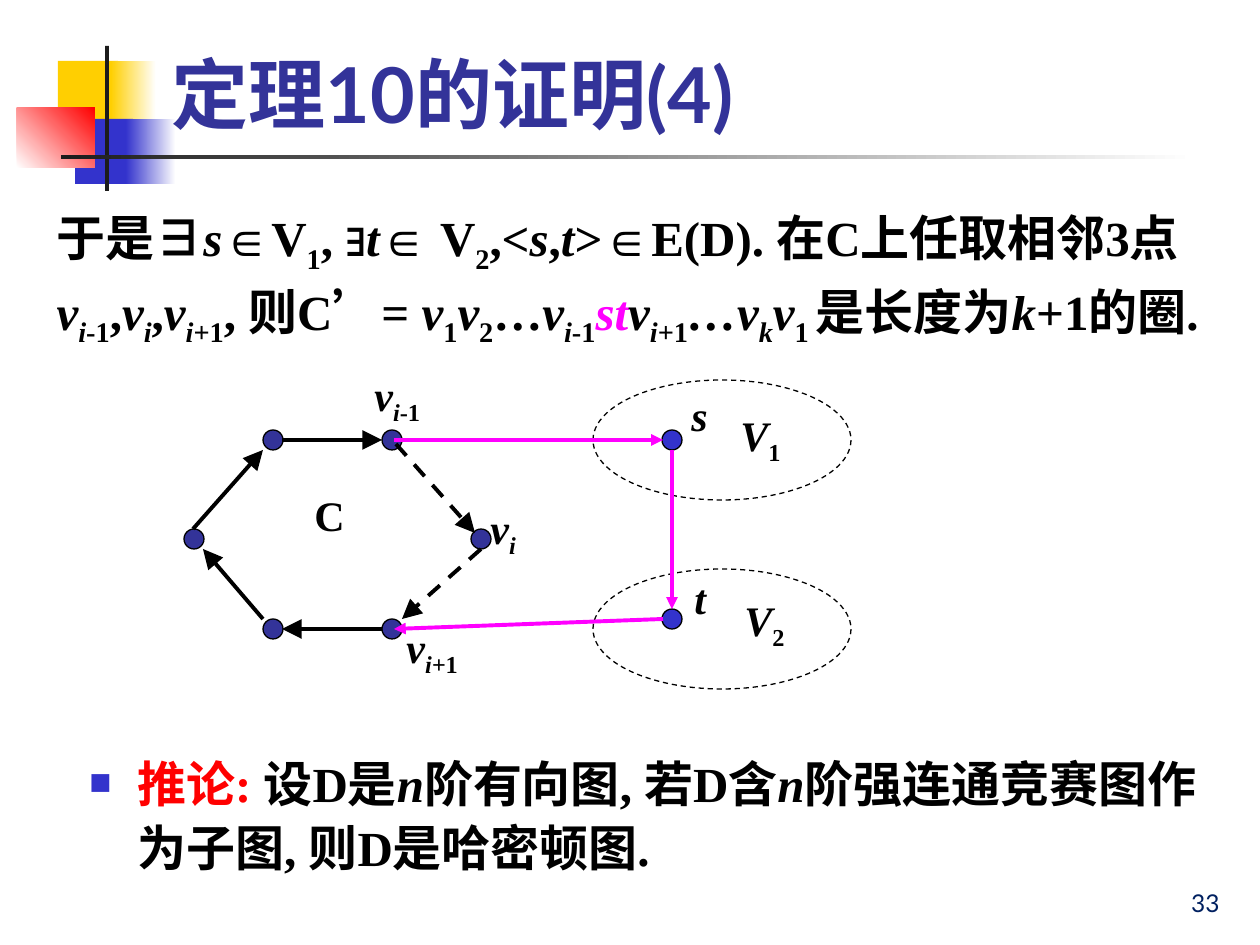
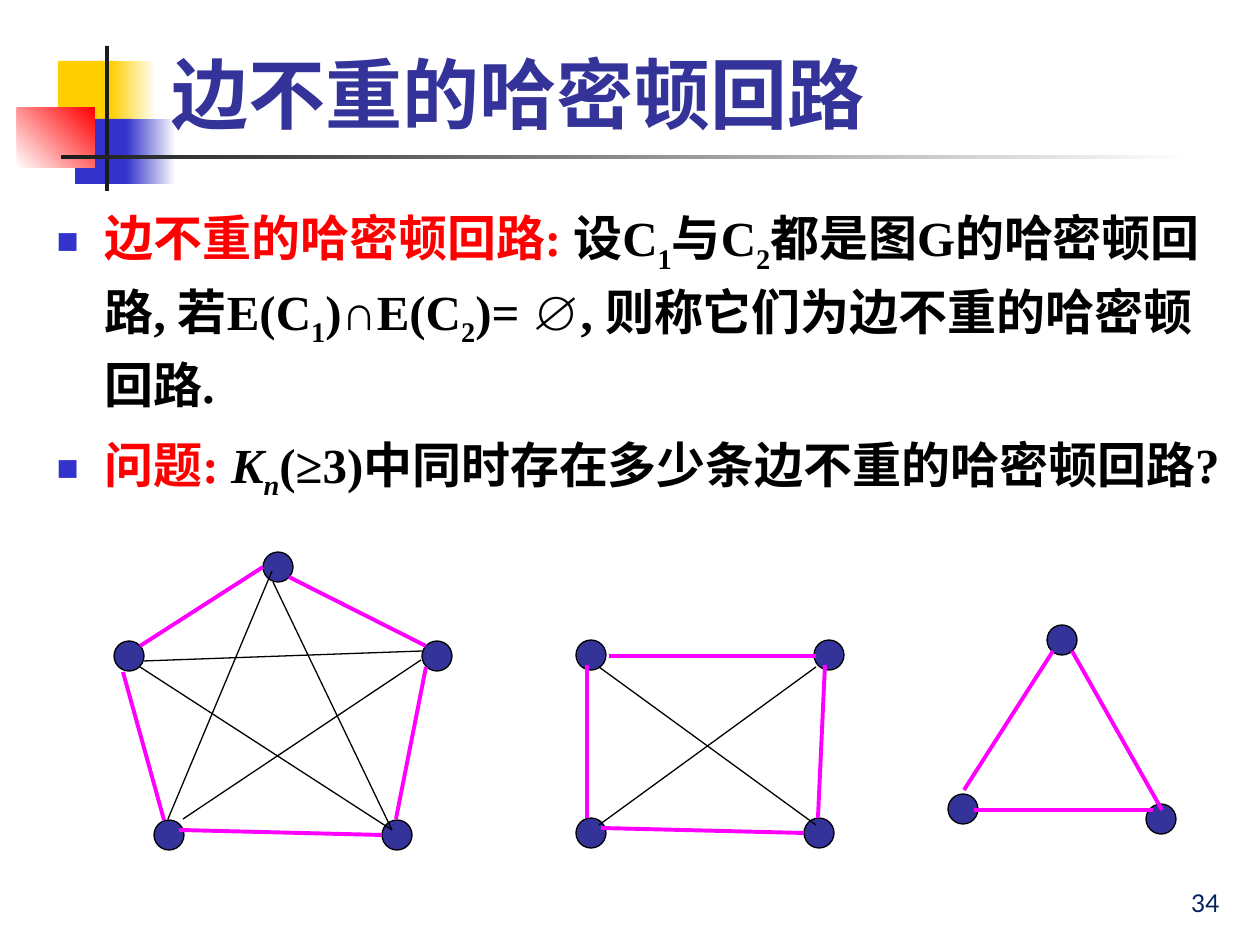
"""Builds two lecture slides on Hamiltonian circuits in digraphs and complete graphs."""
from lxml import etree
from pptx import Presentation
from pptx.dml.color import RGBColor
from pptx.enum.dml import MSO_LINE
from pptx.enum.shapes import MSO_CONNECTOR, MSO_SHAPE
from pptx.enum.text import MSO_ANCHOR, MSO_AUTO_SIZE, PP_ALIGN
from pptx.oxml.ns import qn
from pptx.util import Emu, Pt

LINE, OVAL, RECT = MSO_CONNECTOR.STRAIGHT, MSO_SHAPE.OVAL, MSO_SHAPE.RECTANGLE
DASH = MSO_LINE.DASH
BOTTOM, TOP = MSO_ANCHOR.BOTTOM, MSO_ANCHOR.TOP
LEFT, RIGHT = PP_ALIGN.LEFT, PP_ALIGN.RIGHT
NO_AUTOFIT = MSO_AUTO_SIZE.NONE

PX = 914400 / 126
SERIF, SANS = "Times New Roman", "Lato"

BLACK = RGBColor(0x00, 0x00, 0x00)
WHITE = RGBColor(0xFF, 0xFF, 0xFF)
YELLOW = RGBColor(0xFF, 0xCF, 0x01)
BLUE = RGBColor(0x33, 0x33, 0xCC)
INDIGO = RGBColor(0x33, 0x33, 0x99)
RED = RGBColor(0xFF, 0x00, 0x00)
MAGENTA = RGBColor(0xFF, 0x00, 0xFF)
CHARCOAL = RGBColor(0x1C, 0x1C, 0x1C)
NAVY = RGBColor(0x00, 0x20, 0x60)

TITLE_BOX = (159, 10, 1074, 135)
BODY_BOX = (44, 195, 1171, 725)
COROLLARY_BOX = (77, 741, 1171, 159)
NUMBER_BOX = (970, 861, 262, 63)

BANDS = [
    ((58, 61, 60, 65), [YELLOW], 0),
    ((111, 61, 45, 65), [YELLOW, WHITE], 0),
    ((75, 119, 58, 65), [BLUE], 0),
    ((126, 119, 50, 65), [BLUE, WHITE], 0),
    ((17, 108, 78, 60), [WHITE, RED], 45),
    ((105, 46, 4, 145), [CHARCOAL], 0),
    ((61, 155, 1134, 4), [CHARCOAL, WHITE], 0),
]

# Run flags: i italic, _ subscript, r red, m magenta, s sans
V_PREV = [("v", "i"), ("i", "i_"), ("-1", "_")]
V_I = [("v", "i"), ("i", "i_")]
V_NEXT = [("v", "i"), ("i", "i_"), ("+1", "_")]
V_FIRST = [("v", "i"), ("1", "_")]

PROOF_TITLE = "定理10的证明(4)"
PROOF = [
    ("于是∃", ""), ("s", "i"), ("∈V", ""), ("1", "_"), (", ∃", ""), ("t", "i"),
    ("∈ V", ""), ("2", "_"), (",<", ""), ("s", "i"), (",", ""), ("t", "i"),
    (">∈E(D). 在C上任取相邻3点", ""), *V_PREV, (",", ""), *V_I, (",", ""), *V_NEXT,
    (", 则C", ""), ("’", "s"), ("= ", ""), *V_FIRST, ("v", "i"), ("2", "_"),
    ("…", ""), *V_PREV, ("st", "im"), *V_NEXT, ("…", "i"), ("v", "i"), ("k", "i_"),
    ("v", "i"), ("1 ", "_"), ("是长度为", ""), ("k", "i"), ("+1的圈.", ""),
]
COROLLARY = [
    ("推论: ", "r"), ("设D是", ""), ("n", "i"), ("阶有向图, 若D含", ""), ("n", "i"),
    ("阶强连通竞赛图作为子图, 则D是哈密顿图.", ""),
]
VERTEX_SETS = [(593, 380, 258, 120), (593, 569, 258, 120)]
ST_NODES = [(672, 440), (672, 619)]
CYCLE_NODES = [(273, 440), (392, 440), (194, 539), (481, 539), (273, 629), (392, 629)]
CYCLE_ARROWS = [
    (282, 440, 382, 440), (382, 629, 282, 629), (263, 619, 203, 549), (193, 529, 263, 450),
]
REPLACED_ARROWS = [(396, 444, 475, 533), (481, 549, 402, 619)]
DETOUR_ARROWS = [(672, 450, 672, 609), (394, 440, 663, 440), (663, 619, 394, 629)]
LABELS = [
    (728, 403, [("V", "i"), ("1", "_")]),
    (732, 588, [("V", "i"), ("2", "_")]),
    (302, 483, [("C", "")]),
    (679, 383, [("s", "i")]),
    (682, 566, [("t", "i")]),
    (362, 363, V_PREV),
    (478, 496, V_I),
    (394, 615, [("v", "i"), ("i+", "i_"), ("1", "_")]),
]

DISJOINT_TITLE = "边不重的哈密顿回路"
DISJOINT = [
    [("边不重的哈密顿回路: ", "r"), ("设C", ""), ("1", "_"), ("与C", ""), ("2", "_"),
     ("都是图G的哈密顿回路, 若E(C", ""), ("1", "_"), (")∩E(C", ""), ("2", "_"),
     (")= ∅, 则称它们为边不重的哈密顿回路.", "")],
    [("问题: ", "r"), ("K", "i"), ("n", "i_"), ("(≥3)中同时存在多少条边不重的哈密顿回路?", "")],
]
COMPLETE_GRAPHS = [
    {"nodes": [(278, 567), (129, 656), (437, 656), (169, 835), (397, 835)],
     "circuit": [(263, 567, 140, 646), (289, 577, 426, 646), (123, 672, 164, 820),
                 (426, 667, 396, 819), (179, 830, 382, 835)],
     "chords": [(140, 667, 392, 830), (183, 819, 421, 660), (168, 819, 272, 571),
                (144, 661, 422, 651), (273, 582, 392, 830)]},
    {"nodes": [(591, 655), (829, 655), (591, 833), (819, 833)],
     "circuit": [(587, 665, 587, 818), (825, 665, 818, 818), (601, 828, 804, 833),
                 (609, 656, 816, 656)],
     "chords": [(599, 667, 816, 825), (599, 825, 816, 667)]},
    {"nodes": [(1062, 640), (963, 809), (1161, 819)],
     "circuit": [(1053, 651, 964, 790), (1072, 651, 1162, 810), (974, 810, 1153, 810)],
     "chords": []},
]


def emu(values):
    return [Emu(round(v * PX)) for v in values]


def add_shape(s, kind, box, colours=(), angle=0):
    sp = s.shapes.add_shape(kind, *emu(box))
    sp.shadow.inherit = False
    if len(colours) == 2:
        sp.fill.gradient()
        sp.fill.gradient_angle = angle
        for stop, colour in zip(sp.fill.gradient_stops, colours):
            stop.color.rgb = colour
    elif colours:
        sp.fill.solid()
        sp.fill.fore_color.rgb = colours[0]
    else:
        sp.fill.background()
    return sp


def add_oval(s, box, colours=(), dash=None):
    sp = add_shape(s, OVAL, box, colours)
    sp.line.color.rgb = BLACK
    sp.line.width = Pt(0.75)
    sp.line.dash_style = dash


def add_nodes(s, centres, size, colour):
    for x, y in centres:
        add_oval(s, (x - size / 2, y - size / 2, size, size), [colour])


def add_lines(s, ends, colour, width=2.25, dash=None, head=None):
    for end in ends:
        c = s.shapes.add_connector(LINE, *emu(end))
        c.line.color.rgb = colour
        c.line.width = Pt(width)
        c.line.dash_style = dash
        if head:
            etree.SubElement(c.line._get_or_add_ln(), qn("a:tailEnd"),
                             type="triangle", w=head, len=head)
        etree.SubElement(c._element.spPr, qn("a:effectLst"))


def add_runs(p, runs, size):
    for text, flags in runs:
        r = p.add_run()
        r.text = text
        r.font.size = Pt(size)
        r.font.name = SANS if "s" in flags else SERIF
        r.font.bold = True
        r.font.italic = "i" in flags
        r.font.color.rgb = RED if "r" in flags else MAGENTA if "m" in flags else BLACK
        if "_" in flags:
            r._r.get_or_add_rPr().set("baseline", "-25000")


def set_bullet(p, bullet):
    pPr = p._p.get_or_add_pPr()
    indent = round(48 * PX) if bullet else 0
    pPr.set("marL", str(indent))
    pPr.set("indent", str(-indent))
    if bullet:
        clr = etree.SubElement(pPr, qn("a:buClr"))
        etree.SubElement(clr, qn("a:srgbClr"), val=str(BLUE))
        etree.SubElement(pPr, qn("a:buSzPct"), val="75000")
        etree.SubElement(pPr, qn("a:buFont"), typeface=SERIF)
        etree.SubElement(pPr, qn("a:buChar"), char="■")
    else:
        etree.SubElement(pPr, qn("a:buNone"))


def place(sp, box, anchor=TOP):
    sp.left, sp.top, sp.width, sp.height = emu(box)
    tf = sp.text_frame
    tf.word_wrap = True
    tf.auto_size = NO_AUTOFIT
    tf.vertical_anchor = anchor
    return tf


def add_textbox(s, box, anchor=TOP):
    return place(s.shapes.add_textbox(*emu(box)), box, anchor)


def fill_paragraphs(tf, paragraphs, bullet=True):
    for i, runs in enumerate(paragraphs):
        p = tf.add_paragraph() if i else tf.paragraphs[0]
        set_bullet(p, bullet)
        p.line_spacing = 1.1
        p.space_before = Pt(8.4 if i else 0)
        p.alignment = LEFT
        add_runs(p, runs, 28)


def write_line(tf, text, size, colour, bold, alignment):
    p = tf.paragraphs[0]
    p.text = text
    p.alignment = alignment
    font = p.runs[0].font
    font.name, font.size, font.bold = SANS, Pt(size), bold
    font.color.rgb = colour


def add_slide(prs, title, number):
    s = prs.slides.add_slide(prs.slide_layouts[1])
    write_line(place(s.shapes.title, TITLE_BOX, BOTTOM), title, 44, INDIGO, True, LEFT)
    write_line(add_textbox(s, NUMBER_BOX, BOTTOM), str(number), 14, NAVY, False, RIGHT)
    return s, place(s.placeholders[1], BODY_BOX)


def move_bands_to_layout(s):
    for box, colours, angle in BANDS:
        sp = add_shape(s, RECT, box, colours, angle)
        sp.line.fill.background()
        s.slide_layout.shapes._spTree.append(sp._element)


def build_proof(prs):
    s, body = add_slide(prs, PROOF_TITLE, 33)
    move_bands_to_layout(s)
    fill_paragraphs(body, [PROOF], bullet=False)
    for box in VERTEX_SETS:
        add_oval(s, box, dash=DASH)
    add_nodes(s, ST_NODES, 20, BLUE)
    add_nodes(s, CYCLE_NODES, 20, INDIGO)
    add_lines(s, CYCLE_ARROWS, BLACK, head="lg")
    add_lines(s, REPLACED_ARROWS, BLACK, dash=DASH, head="lg")
    add_lines(s, DETOUR_ARROWS, MAGENTA, head="med")
    for x, y, runs in LABELS:
        add_runs(add_textbox(s, (x, y, 95, 63)).paragraphs[0], runs, 24)
    fill_paragraphs(add_textbox(s, COROLLARY_BOX), [COROLLARY])


def build_disjoint(prs):
    s, body = add_slide(prs, DISJOINT_TITLE, 34)
    fill_paragraphs(body, DISJOINT)
    for graph in COMPLETE_GRAPHS:
        add_nodes(s, graph["nodes"], 30, INDIGO)
        add_lines(s, graph["circuit"], MAGENTA)
        add_lines(s, graph["chords"], BLACK, width=0.75)


def main():
    prs = Presentation()
    prs.slide_width, prs.slide_height = emu((1260, 945))
    build_proof(prs)
    build_disjoint(prs)
    prs.save("out.pptx")


if __name__ == "__main__":
    main()
